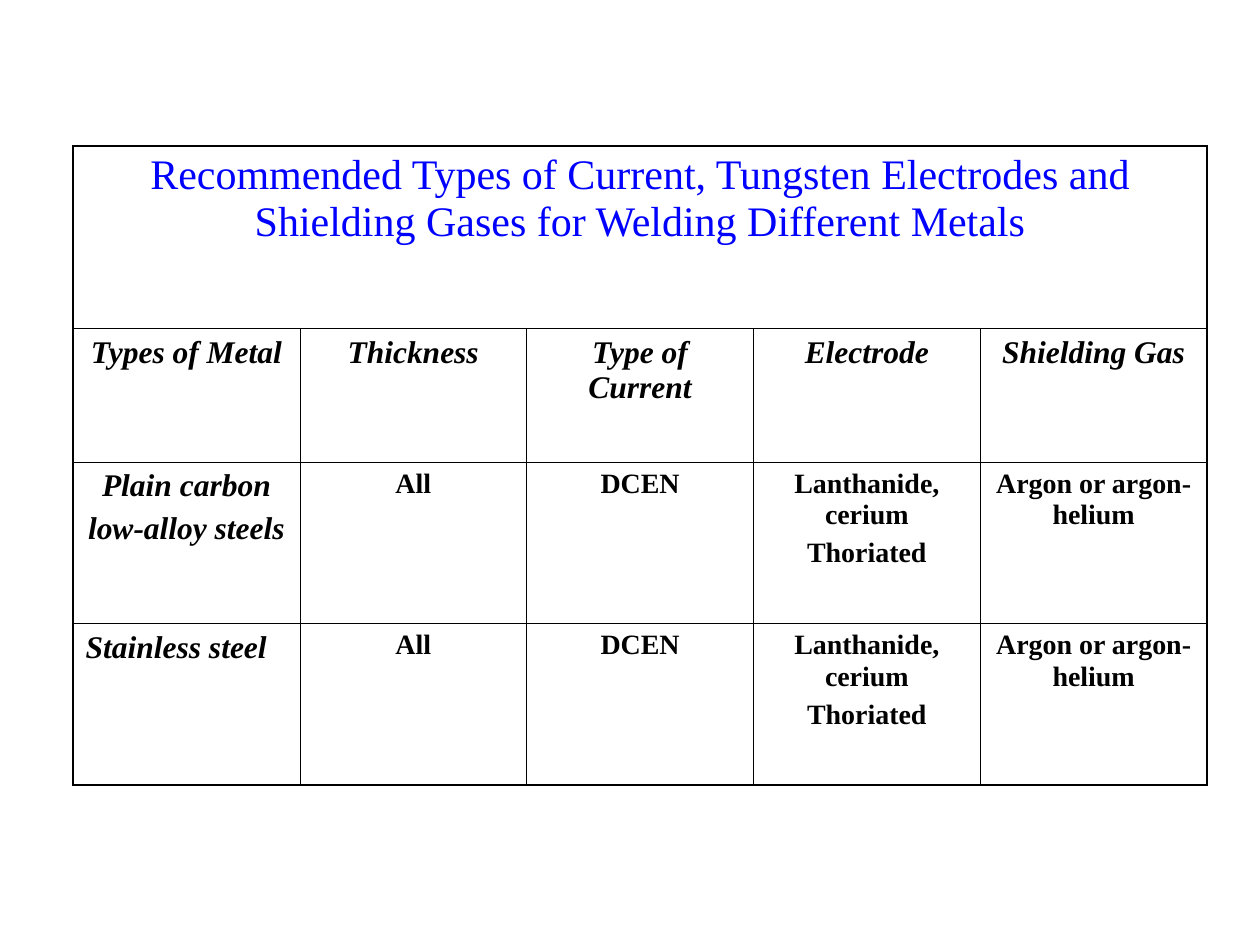
from lxml import etree
from pptx import Presentation
from pptx.dml.color import RGBColor
from pptx.enum.text import PP_ALIGN
from pptx.oxml.ns import qn
from pptx.util import Inches, Pt

LEFT, CENTER = PP_ALIGN.LEFT, PP_ALIGN.CENTER
COLORS = {"title": "0000FF", "text": "000000", "border": "000000"}
FONT = "Times New Roman"
OUTER, INNER = Pt(1.08), Pt(0.45)


def write_cell(cell, lines, size, color, bold, italic, align):
    for index, line in enumerate(lines):
        frame = cell.text_frame
        paragraph = frame.add_paragraph() if index else frame.paragraphs[0]
        paragraph.alignment = align
        if index:
            paragraph.space_before = Pt(size / 4)
        run = paragraph.add_run()
        run.text = line
        run.font.name = FONT
        run.font.size = Pt(size)
        run.font.bold = bold
        run.font.italic = italic
        run.font.color.rgb = RGBColor.from_string(color)


def draw_borders(cell, widths):
    properties = cell._tc.get_or_add_tcPr()
    for position, (side, width) in enumerate(widths.items()):
        line = etree.Element(qn(f"a:ln{side}"), w=str(width))
        fill = etree.SubElement(line, qn("a:solidFill"))
        etree.SubElement(fill, qn("a:srgbClr"), val=COLORS["border"])
        properties.insert(position, line)


presentation = Presentation()
presentation.slide_width = Inches(10)
presentation.slide_height = Inches(7.5)
slide = presentation.slides.add_slide(presentation.slide_layouts[6])

# Wording
title = ("Recommended Types of Current, Tungsten Electrodes and "
         "Shielding Gases for Welding Different Metals")
headings = ["Types of Metal", "Thickness", "Type of Current", "Electrode", "Shielding Gas"]
metals = [["Plain carbon", "low-alloy steels"], ["Stainless steel"]]
settings = [["All"], ["DCEN"], ["Lanthanide, cerium", "Thoriated"], ["Argon or argon-helium"]]

# Table grid
row_heights = [1.45, 1.06, 1.28, 1.28]
row_count, column_count = len(row_heights), len(headings)
welding_table = slide.shapes.add_table(
    row_count, column_count,
    Inches(0.58), Inches(1.16), Inches(9), Inches(sum(row_heights))).table
welding_table.first_row = False
welding_table.horz_banding = False
for row, height in zip(welding_table.rows, row_heights):
    row.height = Inches(height)
for column in welding_table.columns:
    column.width = Inches(1.8)
welding_table.cell(0, 0).merge(welding_table.cell(0, column_count - 1))

# Thick frame, thin inner rules
for r in range(row_count):
    for c in range(column_count):
        cell = welding_table.cell(r, c)
        cell.fill.background()
        last_column = column_count - 1 if cell.is_merge_origin else c
        draw_borders(cell, {
            "L": OUTER if c == 0 else INNER,
            "R": OUTER if last_column == column_count - 1 else INNER,
            "T": OUTER if r == 0 else INNER,
            "B": OUTER if r == row_count - 1 else INNER,
        })

# Title and headings
write_cell(welding_table.cell(0, 0), [title], 24, COLORS["title"], False, False, CENTER)
for c, heading in enumerate(headings):
    write_cell(welding_table.cell(1, c), [heading], 18, COLORS["text"], True, True, CENTER)

# One row per metal
for r, (metal, align) in enumerate(zip(metals, [CENTER, LEFT]), start=2):
    write_cell(welding_table.cell(r, 0), metal, 18, COLORS["text"], True, True, align)
    for c, setting in enumerate(settings, start=1):
        write_cell(welding_table.cell(r, c), setting, 16, COLORS["text"], True, False, CENTER)

presentation.save("out.pptx")
